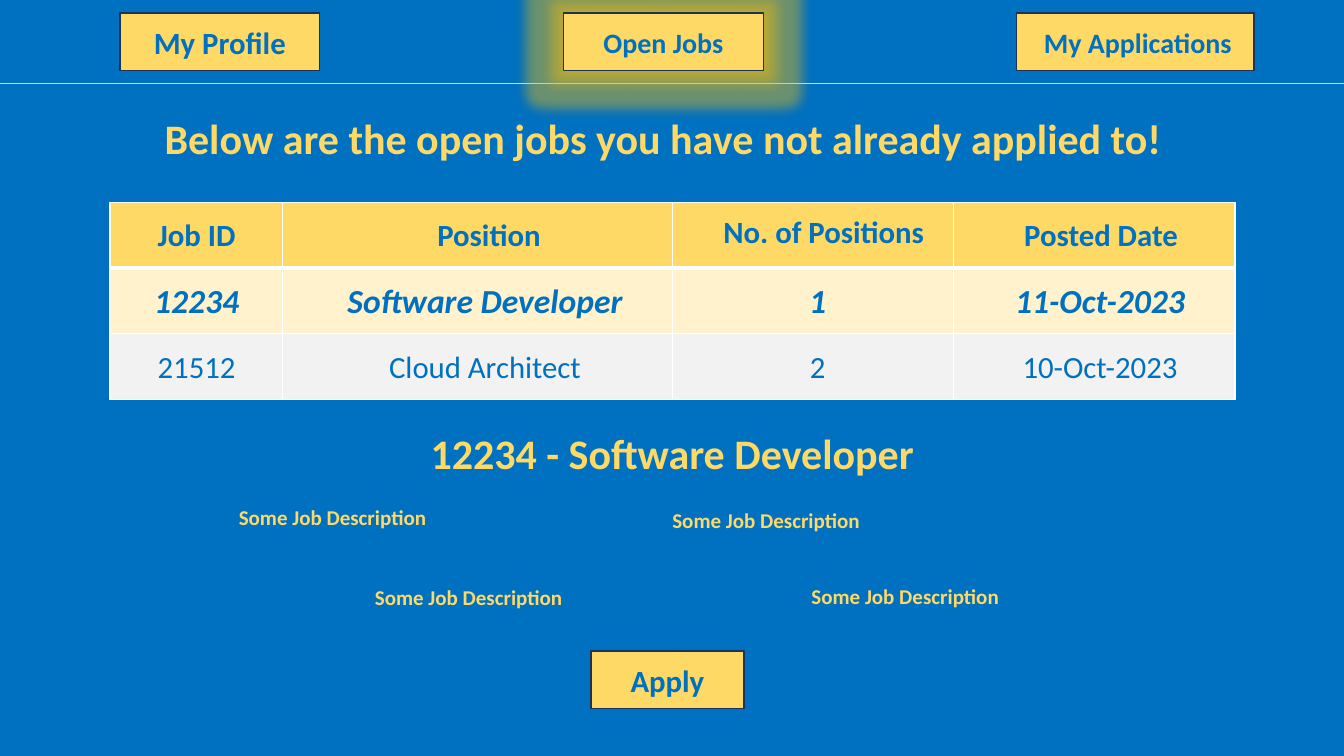
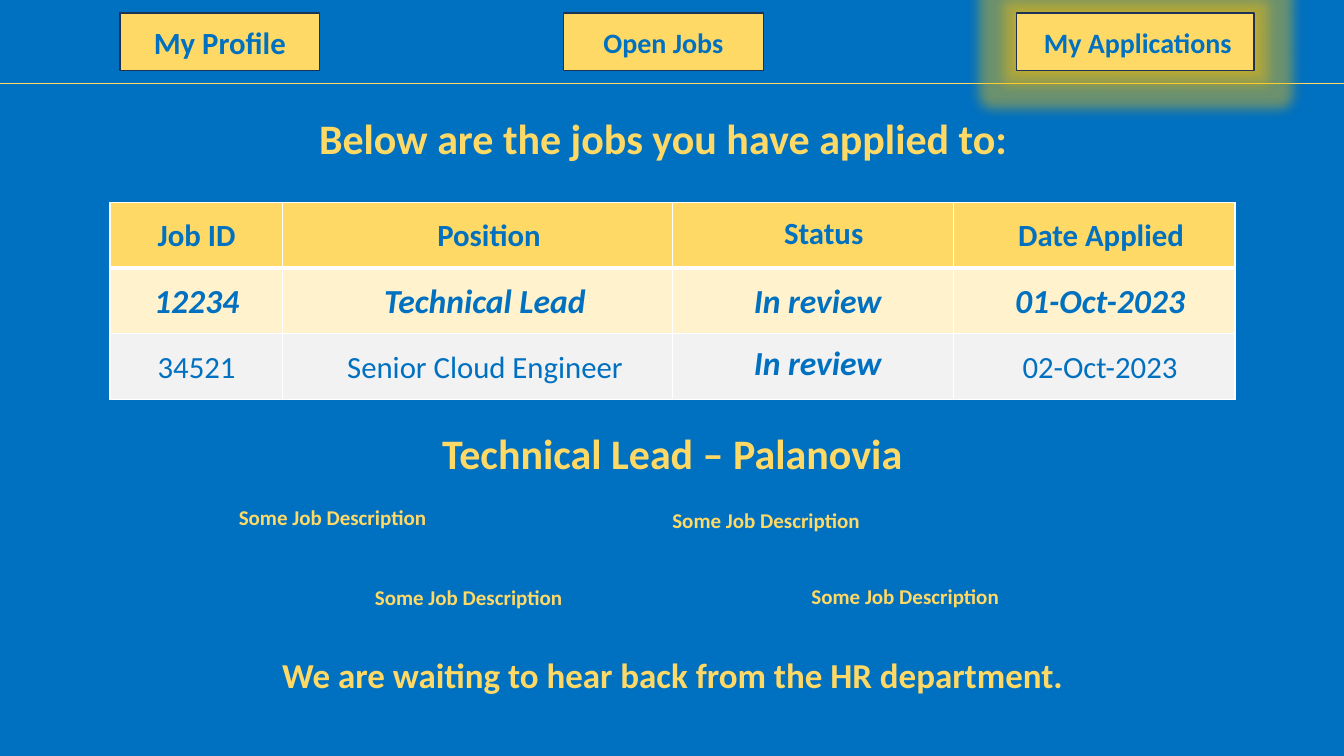
from lxml import etree
from pptx import Presentation
from pptx.dml.color import RGBColor
from pptx.enum.shapes import MSO_CONNECTOR, MSO_SHAPE
from pptx.enum.text import MSO_ANCHOR, PP_ALIGN
from pptx.oxml.ns import qn
from pptx.util import Inches, Pt

RECT = MSO_SHAPE.RECTANGLE
LINE = MSO_CONNECTOR.STRAIGHT
MID = MSO_ANCHOR.MIDDLE
LEFT, CENTER = PP_ALIGN.LEFT, PP_ALIGN.CENTER

BLUE, GOLD, NAVY, AMBER, WHITE = "0070C0", "FFD966", "1E3256", "FFC000", "FFFFFF"
FILLS = (GOLD, "FFF2CC", "F2F2F2")
COLS = (1.71, 3.87, 2.79, 2.79)
TOPS = (2.09, 2.73, 3.4)
HEADS = ((1.31, 1.28), (3.98, 1.74), (7.07, 2.2), (9.91, 2.02))
CELLS = ((1.31, 1.28), (3.17, 3.28), (7.1, 2.02), (9.9, 2.02))
TABS = (
    ("My Profile", 1.19, 1.98, 22, 0),
    ("Open Jobs", 5.59, 1.98, 20, 0),
    ("My Applications", 10.08, 2.36, 20, 0.05),
)
NOTES = ((2.27, 4.96), (6.57, 4.99), (3.62, 5.75), (7.95, 5.74))


def color(code):
    return RGBColor.from_string(code)


class Deck:
    """Holds the shared style and the slide being built."""

    def __init__(self):
        self.prs = Presentation()
        self.prs.slide_width = Inches(13.33)
        self.prs.slide_height = Inches(7.5)
        fill = self.prs.slide_master.background.fill
        fill.solid()
        fill.fore_color.rgb = color(BLUE)
        self.slide = None

    def page(self, active, title, rows, moved, job):
        self.slide = self.prs.slides.add_slide(self.prs.slide_layouts[6])
        self.rule(0.83)
        for label, left, width, size, inset in TABS:
            self.button(label, left, 0.13, width, size, inset, label == active)
        self.text(title, 0.83, 1.07, 11.5, 0.61, 30)
        self.table()
        self.labels(rows, moved)
        self.text(job, 0.92, 4.19, 11.5, 0.61, 30)
        for left, top in NOTES:
            self.text("Some Job Description", left, top, 2.96, 0.35, 15, align=LEFT)

    def style(self, frame, size, tint, align=CENTER, bold=True, italic=False):
        para = frame.paragraphs[0]
        para.alignment = align
        font = para.runs[0].font
        font.name, font.size = "Calibri", Pt(size)
        font.bold, font.italic = bold, italic
        font.color.rgb = color(tint)

    def text(self, words, left, top, width, height, size, tint=GOLD, **look):
        box = self.slide.shapes.add_textbox(
            Inches(left), Inches(top), Inches(width), Inches(height))
        frame = box.text_frame
        frame.word_wrap = True
        frame.text = words
        self.style(frame, size, tint, **look)

    def rule(self, top):
        line = self.slide.shapes.add_connector(
            LINE, 0, Inches(top), self.prs.slide_width, Inches(top))
        line.line.color.rgb = color(GOLD)
        line.line.width = Pt(0.5)
        etree.SubElement(line._element.spPr, qn("a:effectLst"))

    def button(self, label, left, top, width, size, inset=0, active=False):
        shape = self.slide.shapes.add_shape(
            RECT, Inches(left), Inches(top), Inches(width), Inches(0.57))
        shape.shadow.inherit = False
        shape.fill.solid()
        shape.fill.fore_color.rgb = color(GOLD)
        shape.line.color.rgb = color(NAVY)
        shape.line.width = Pt(1)
        frame = shape.text_frame
        frame.margin_left, frame.margin_right = Inches(inset), 0
        frame.vertical_anchor = MID
        frame.text = label
        self.style(frame, size, BLUE)
        if active:
            self.glow(shape)

    def glow(self, shape):
        effects = shape._element.spPr.find(qn("a:effectLst"))
        for tag, key, size in (("a:glow", "rad", 18), ("a:outerShdw", "blurRad", 6.5)):
            part = etree.SubElement(effects, qn(tag), {key: str(Pt(size))})
            tint = etree.SubElement(part, qn("a:srgbClr"), val=AMBER)
            etree.SubElement(tint, qn("a:alpha"), val="40000")

    def table(self):
        grid = self.slide.shapes.add_table(
            len(FILLS), len(COLS), Inches(1.09), Inches(2.01),
            Inches(sum(COLS)), Inches(0.65 * len(FILLS))).table
        for col, width in zip(grid.columns, COLS):
            col.width = Inches(width)
        for row, tint in zip(grid.rows, FILLS):
            for cell in row.cells:
                cell.fill.solid()
                cell.fill.fore_color.rgb = color(tint)
        for cell in grid.rows[0].cells:
            self.border(cell)

    def border(self, cell):
        edge = etree.Element(qn("a:lnB"), w=str(Pt(3)))
        fill = etree.SubElement(edge, qn("a:solidFill"))
        etree.SubElement(fill, qn("a:srgbClr"), val=WHITE)
        cell._tc.get_or_add_tcPr().insert(0, edge)

    def labels(self, rows, moved):
        for r, row in enumerate(rows):
            for c, words in enumerate(row):
                left, width = (CELLS if r else HEADS)[c]
                strong = r == 1 or words == "In review"
                self.text(words, left, moved.get((r, c), TOPS[r]), width,
                          0.5 if strong else 0.47, 24 if strong else 22, BLUE,
                          bold=strong or r == 0, italic=strong)


def main():
    deck = Deck()
    deck.page(
        "Open Jobs",
        "Below are the open jobs you have not already applied to!",
        (("Job ID", "Position", "No. of Positions", "Posted Date"),
         ("12234", "Software Developer", "1", "11-Oct-2023"),
         ("21512", "Cloud Architect", "2", "10-Oct-2023")),
        {(0, 2): 2.06},
        "12234 - Software Developer")
    deck.button("Apply", 5.86, 6.46, 1.52, 22)
    deck.page(
        "My Applications",
        "Below are the jobs you have applied to:",
        (("Job ID", "Position", "Status", "Date Applied"),
         ("12234", "Technical Lead", "In review", "01-Oct-2023"),
         ("34521", "Senior Cloud Engineer", "In review", "02-Oct-2023")),
        {(0, 2): 2.07, (2, 2): 3.34},
        "Technical Lead – Palanovia")
    deck.text("We are waiting to hear back from the HR department.",
              0.92, 6.43, 11.5, 0.52, 25)
    deck.prs.save("out.pptx")


if __name__ == "__main__":
    main()
